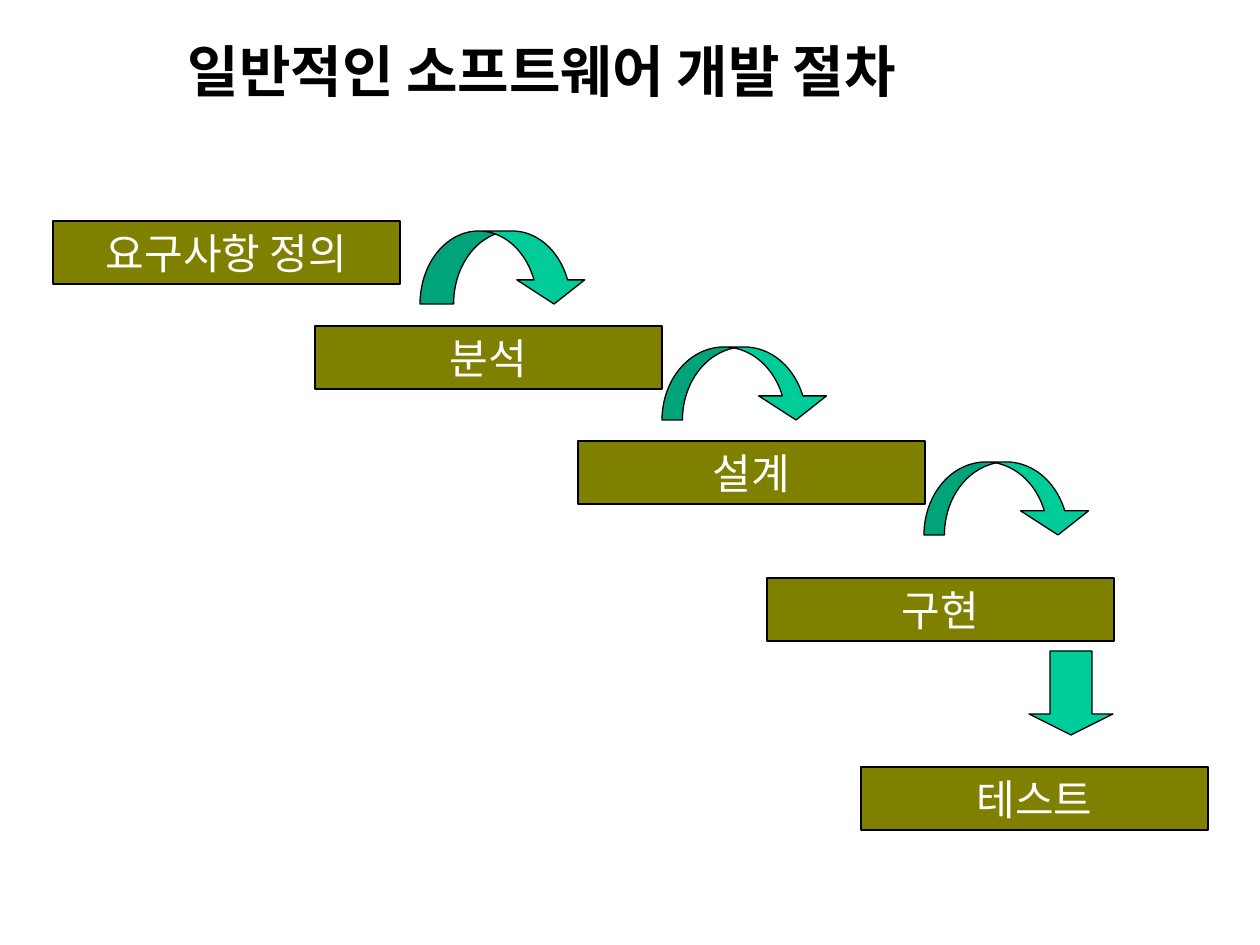
"""Build a slide showing the usual steps of software development."""
from lxml import etree
from pptx import Presentation, util as u
from pptx.dml.color import RGBColor
from pptx.enum import shapes, text
from pptx.oxml.ns import qn

PX = u.Inches(1) // 126
FONT = "Noto Sans CJK KR"
OLIVE, GREEN, BLACK, WHITE = "808000", "00CC99", "000000", "FFFFFF"

TITLE = "일반적인 소프트웨어 개발 절차"
STEP_SIZE = (347, 63)
STEPS = [
    ("요구사항 정의", 53, 221),
    ("분석", 315, 326),
    ("설계", 578, 441),
    ("구현", 767, 578),
    ("테스트", 861, 767),
]
CURVE_SIZE = (168, 73)
CURVES = [(420, 231, 0.46), (662, 347, 0.28), (924, 462, 0.28)]
HEAD_WIDTH, HEAD_HEIGHT = 0.93, 0.33
DOWN_ARROW = (1029, 651, 84, 84)


def color(value):
    return RGBColor.from_string(value)


def write(shape, words, size=24, ink=WHITE, bold=False,
          align=text.PP_ALIGN.CENTER, anchor=text.MSO_ANCHOR.MIDDLE):
    frame = shape.text_frame
    frame.word_wrap = False
    frame.vertical_anchor = anchor
    paragraph = frame.paragraphs[0]
    paragraph.alignment = align
    run = paragraph.add_run()
    run.text = words
    run.font.size = u.Pt(size)
    run.font.bold = bold
    run.font.color.rgb = color(ink)
    run.font.name = FONT
    etree.SubElement(run.font._element, qn("a:ea"), typeface=FONT)


def draw(slide, kind, box, fill, adjustments=()):
    shape = slide.shapes.add_shape(kind, *(n * PX for n in box))
    shape.shadow.inherit = False
    shape.fill.solid()
    shape.fill.fore_color.rgb = color(fill)
    shape.line.color.rgb = color(BLACK)
    shape.line.width = u.Pt(0.75)
    for i, value in enumerate(adjustments):
        shape.adjustments[i] = value
    return shape


def main():
    deck = Presentation()
    deck.slide_width, deck.slide_height = 1260 * PX, 945 * PX
    slide = deck.slides.add_slide(deck.slide_layouts[5])
    kinds = shapes.MSO_SHAPE

    title = slide.shapes.title
    title.left, title.top, title.width, title.height = (
        n * PX for n in (175, 30, 771, 81))
    write(title, TITLE, size=32, ink=BLACK, bold=True,
          align=text.PP_ALIGN.LEFT, anchor=text.MSO_ANCHOR.TOP)

    for words, left, top in STEPS:
        step = draw(slide, kinds.RECTANGLE, (left, top, *STEP_SIZE), OLIVE)
        write(step, words)
    for left, top, band in CURVES:
        draw(slide, kinds.CURVED_DOWN_ARROW, (left, top, *CURVE_SIZE), GREEN,
             (band, HEAD_WIDTH, HEAD_HEIGHT))
    draw(slide, kinds.DOWN_ARROW, DOWN_ARROW, GREEN, (0.5, 0.25))

    deck.save("out.pptx")


if __name__ == "__main__":
    main()
